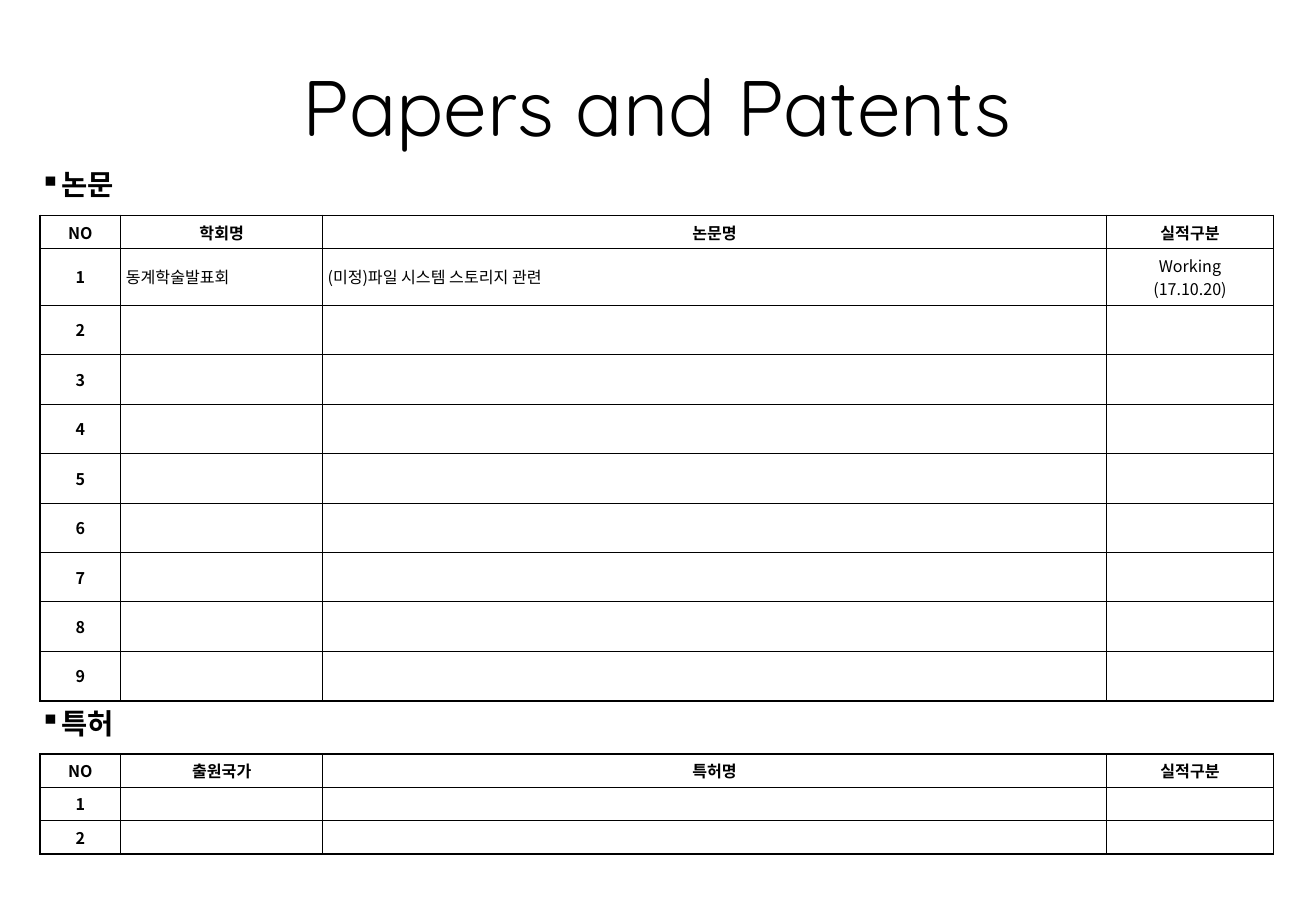
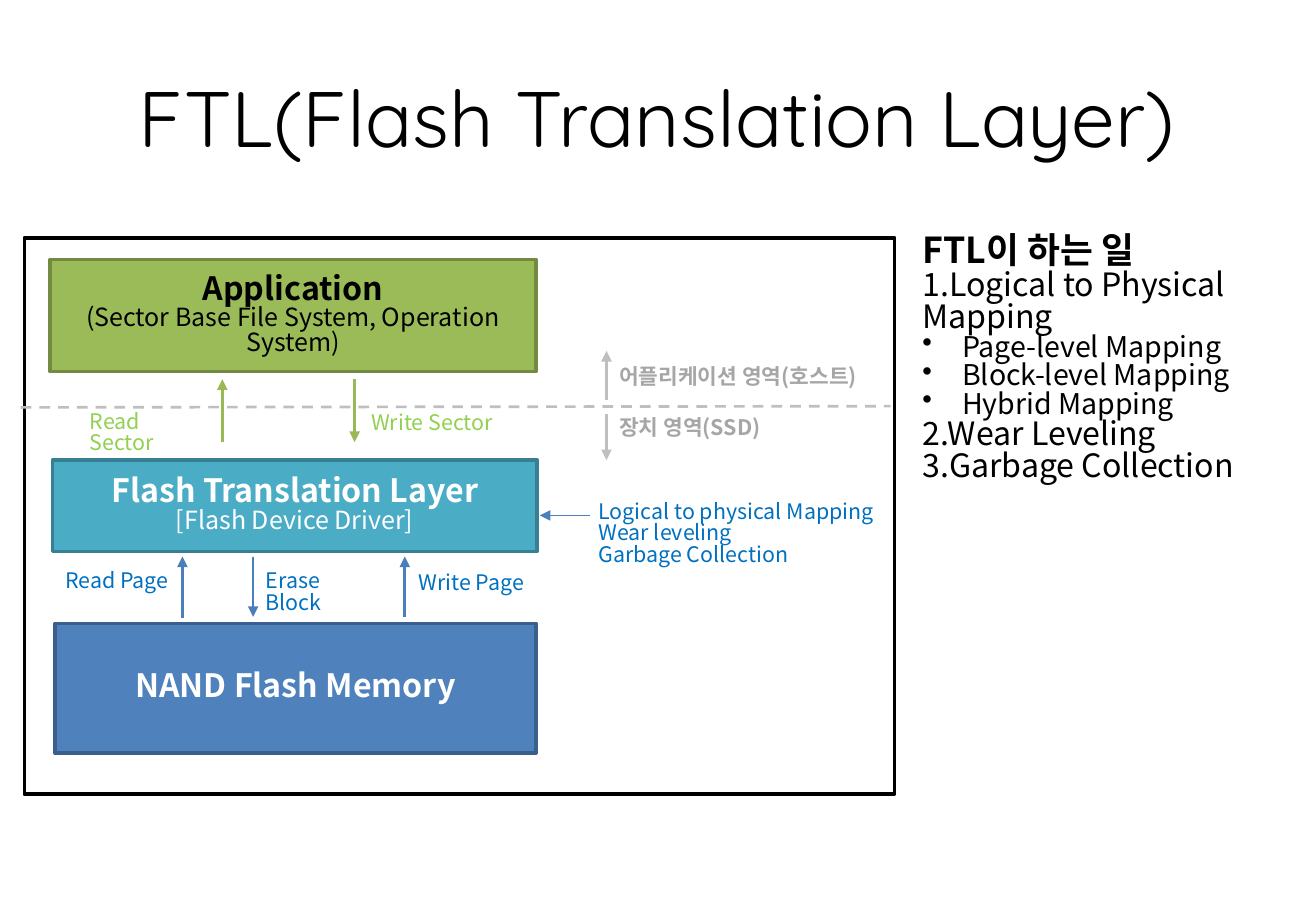
import pptx
import pptx.util
import pptx.dml.color
import pptx.enum.dml
import pptx.enum.shapes
import pptx.enum.text
import pptx.oxml
import pptx.oxml.ns

Inches = pptx.util.Inches
Pt = pptx.util.Pt
ALIGN = pptx.enum.text.PP_ALIGN
ANCHOR = pptx.enum.text.MSO_ANCHOR

COLORS = {
    "black": "000000", "white": "FFFFFF",
    "green": "9BBB59", "green_edge": "738A42", "green_arrow": "98B955", "green_text": "92D050",
    "teal": "4BACC6", "teal_edge": "377F92",
    "blue": "4F81BD", "blue_edge": "3A5F8C", "blue_arrow": "4B7EBC", "blue_text": "0070C0",
    "gray": "BFBFBF", "gray_text": "A6A6A6",
}
TITLE_FONT = "Quicksand"
BODY_FONT = "Noto Sans CJK KR"
TIGHT = 0.83  # line spacing of the diagram slide
COLUMN_WIDTHS = (0.63, 1.57, 6.1, 1.3)


def rgb(name):
    return pptx.dml.color.RGBColor.from_string(COLORS[name])


def add_xml(parent, markup, index=None):
    """Put a DrawingML element, written without its namespace, into parent."""
    tag, rest = markup[1:].split(" ", 1) if " " in markup else (markup[1:-2], "/>")
    element = pptx.oxml.parse_xml(f'<{tag} {pptx.oxml.ns.nsdecls("a")} {rest}')
    parent.insert(len(parent) if index is None else index, element)


def write(frame, lines, color="black", align=ALIGN.LEFT, font=BODY_FONT, spacing=None):
    """Fill a text frame; each line is (text, size, bold) or (text, size, bold, bullet, indent)."""
    for number, (text, size, bold, *bullet) in enumerate(lines):
        para = frame.paragraphs[0] if number == 0 else frame.add_paragraph()
        para.text = text
        para.alignment = align
        if spacing:
            para.line_spacing = spacing
        if bullet:
            symbol, indent = bullet
            properties = para._p.get_or_add_pPr()
            properties.set("marL", str(Inches(indent)))
            properties.set("indent", str(-Inches(indent)))
            add_xml(properties, f'<a:buChar char="{symbol}"/>')
        for span in para.runs:
            span.font.name = font
            span.font.size = Pt(size)
            span.font.bold = bold
            span.font.color.rgb = rgb(color)
            add_xml(span._r.get_or_add_rPr(), f'<a:ea typeface="{font}"/>')


def add_text(page, left, top, width, height, lines, anchor=ANCHOR.TOP, inset=None, **style):
    box = page.shapes.add_textbox(Inches(left), Inches(top), Inches(width), Inches(height))
    frame = box.text_frame
    frame.word_wrap = True
    frame.vertical_anchor = anchor
    if inset is not None:
        frame.margin_left = frame.margin_right = Inches(inset)
        frame.margin_top = frame.margin_bottom = Inches(inset)
    write(frame, lines, **style)


def add_title(page, text, top):
    add_text(page, 0.39, top, 9.45, 1.1, [(text, 44, False)], ANCHOR.MIDDLE,
             align=ALIGN.CENTER, font=TITLE_FONT)


def add_block(page, left, top, width, height, fill, edge, lines=(), color="white"):
    block = page.shapes.add_shape(pptx.enum.shapes.MSO_SHAPE.RECTANGLE, Inches(left), Inches(top),
                                  Inches(width), Inches(height))
    block.shadow.inherit = False
    block.fill.solid()
    block.fill.fore_color.rgb = rgb(fill)
    block.line.color.rgb = rgb(edge)
    block.line.width = Pt(2)
    block.text_frame.vertical_anchor = ANCHOR.MIDDLE
    write(block.text_frame, lines, color, ALIGN.CENTER, spacing=TIGHT)


def add_line(page, start, end, color, width=1.5, arrow=True):
    """Draw an arrow, or a dashed line when arrow is False."""
    line = page.shapes.add_connector(pptx.enum.shapes.MSO_CONNECTOR.STRAIGHT,
                                     *(Inches(value) for value in (*start, *end)))
    line.line.color.rgb = rgb(color)
    line.line.width = Pt(width)
    if arrow:
        add_xml(line.line._get_or_add_ln(), '<a:tailEnd type="triangle"/>')
    else:
        line.line.dash_style = pptx.enum.dml.MSO_LINE.DASH
    add_xml(line._element.spPr, "<a:effectLst/>")


def set_borders(cell, outer):
    """Draw four black borders, 1 pt on the sides named in outer and 0.5 pt elsewhere."""
    for index, side in enumerate("LRTB"):
        width = Pt(1 if side in outer else 0.5)
        add_xml(cell._tc.get_or_add_tcPr(),
                f'<a:ln{side} w="{width}"><a:solidFill><a:srgbClr val="{COLORS["black"]}"/>'
                f'</a:solidFill></a:ln{side}>', index)


def add_record_section(page, left, top, heading, headers, row_heights, records):
    """Place a bulleted heading and, below it, a table of numbered records."""
    width = sum(COLUMN_WIDTHS)
    add_text(page, left, top, width, 0.31, [(heading, 16, True, "▪", 0.16)], ANCHOR.MIDDLE, 0)
    last_row, last_column = len(row_heights) - 1, len(headers) - 1
    table = page.shapes.add_table(last_row + 1, last_column + 1, Inches(left), Inches(top + 0.395),
                                  Inches(width), Inches(sum(row_heights))).table
    table.first_row = table.horz_banding = False
    for column, column_width in zip(table.columns, COLUMN_WIDTHS):
        column.width = Inches(column_width)
    for row_number, height in enumerate(row_heights):
        table.rows[row_number].height = Inches(height)
        record = records.get(row_number, ("", "", ""))
        texts = headers if row_number == 0 else (str(row_number), *record)
        for column_number, text in enumerate(texts):
            cell = table.cell(row_number, column_number)
            cell.margin_left = cell.margin_right = Inches(0.04)
            cell.margin_top = cell.margin_bottom = Inches(0.04)
            cell.vertical_anchor = ANCHOR.MIDDLE
            cell.fill.background()
            label = row_number == 0 or column_number == 0
            centered = label or column_number == last_column
            if text:
                write(cell.text_frame, [(line, 9, label) for line in text.split("\n")],
                      align=ALIGN.CENTER if centered else ALIGN.LEFT)
            else:
                add_xml(cell.text_frame.paragraphs[0]._p, '<a:endParaRPr sz="900"/>')
            edges = {"L": column_number == 0, "R": column_number == last_column,
                     "T": row_number == 0, "B": row_number == last_row}
            set_borders(cell, [side for side, at_edge in edges.items() if at_edge])


def add_layer_diagram(page, left, top):
    """Draw the storage layers; all places inside are relative to the frame's corner."""
    def at(x, y):
        return left + x, top + y

    add_block(page, left, top, 6.77, 4.33, "white", "black")
    layers = [
        (0.2, 0.17, 3.78, 0.87, "green", "black",
         [("Application", 18, True), ("(Sector Base File System, Operation System)", 14, False)]),
        (0.22, 1.73, 3.77, 0.71, "teal", "white",
         [("Flash Translation Layer", 18, True), ("[Flash Device Driver]", 14, False)]),
        (0.24, 3.0, 3.74, 1.01, "blue", "white", [("NAND Flash Memory", 18, True)]),
    ]
    for x, y, width, height, fill, color, lines in layers:
        add_block(page, *at(x, y), width, height, fill, fill + "_edge", lines, color)

    add_line(page, at(-0.03, 1.32), at(6.74, 1.31), "gray", arrow=False)
    vertical_arrows = [
        (1.54, 1.59, 1.1, "green_arrow"), (2.57, 1.1, 1.59, "green_arrow"),
        (1.23, 2.96, 2.48, "blue_arrow"), (1.78, 2.48, 2.95, "blue_arrow"),
        (2.96, 2.95, 2.48, "blue_arrow"),
        (4.53, 1.26, 0.88, "gray"), (4.53, 1.37, 1.73, "gray"),
    ]
    for x, start, end, color in vertical_arrows:
        add_line(page, at(x, start), at(x, end), color)
    add_line(page, at(4.4, 2.16), at(4.01, 2.16), "blue_arrow", 0.75)

    labels = [
        (0.41, 1.31, 1.0, "Read Sector", "green_text"),
        (2.6, 1.32, 1.4, "Write Sector", "green_text"),
        (0.22, 2.55, 1.2, "Read Page", "blue_text"),
        (1.78, 2.55, 0.95, "Erase Block", "blue_text"),
        (2.97, 2.56, 1.2, "Write Page", "blue_text"),
        (4.53, 0.96, 2.4, "어플리케이션 영역(호스트)", "gray_text"),
        (4.53, 1.36, 2.4, "장치 영역(SSD)", "gray_text"),
        (4.37, 2.01, 2.5, "Logical to physical Mapping\nWear leveling\nGarbage Collection",
         "blue_text"),
    ]
    for x, y, width, text, color in labels:
        lines = [(line, 12, color == "gray_text") for line in text.split("\n")]
        add_text(page, *at(x, y), width, 0.2 * len(lines) + 0.1, lines, color=color, spacing=TIGHT)


def add_duties(page, left, top):
    mappings = ("Page-level Mapping", "Block-level Mapping", "Hybrid Mapping")
    add_text(page, left, top, 2.94, 2.46, [
        ("FTL이 하는 일", 20, True),
        ("1.Logical to Physical Mapping", 18, False),
        *((mapping, 16, False, "•", 0.31) for mapping in mappings),
        ("2.Wear Leveling", 18, False),
        ("3.Garbage Collection", 18, False),
    ], spacing=TIGHT)


def build_records_page(page):
    add_title(page, "Papers and Patents", 0.27)
    add_record_section(page, 0.31, 1.28, "논문", ("NO", "학회명", "논문명", "실적구분"),
                       [0.26, 0.44] + [0.385] * 8,
                       {1: ("동계학술발표회", "(미정)파일 시스템 스토리지 관련",
                            "Working\n(17.10.20)")})
    add_record_section(page, 0.31, 5.47, "특허", ("NO", "출원국가", "특허명", "실적구분"),
                       [0.26] * 3, {})


def build_layers_page(page):
    add_title(page, "FTL(Flash Translation Layer)", 0.35)
    add_layer_diagram(page, 0.19, 1.85)
    add_duties(page, 7.08, 1.78)


def main():
    deck = pptx.Presentation()
    deck.slide_width, deck.slide_height = Inches(10.24), Inches(7.01)
    for build in (build_records_page, build_layers_page):
        build(deck.slides.add_slide(deck.slide_layouts[6]))
    deck.save("out.pptx")


if __name__ == "__main__":
    main()
